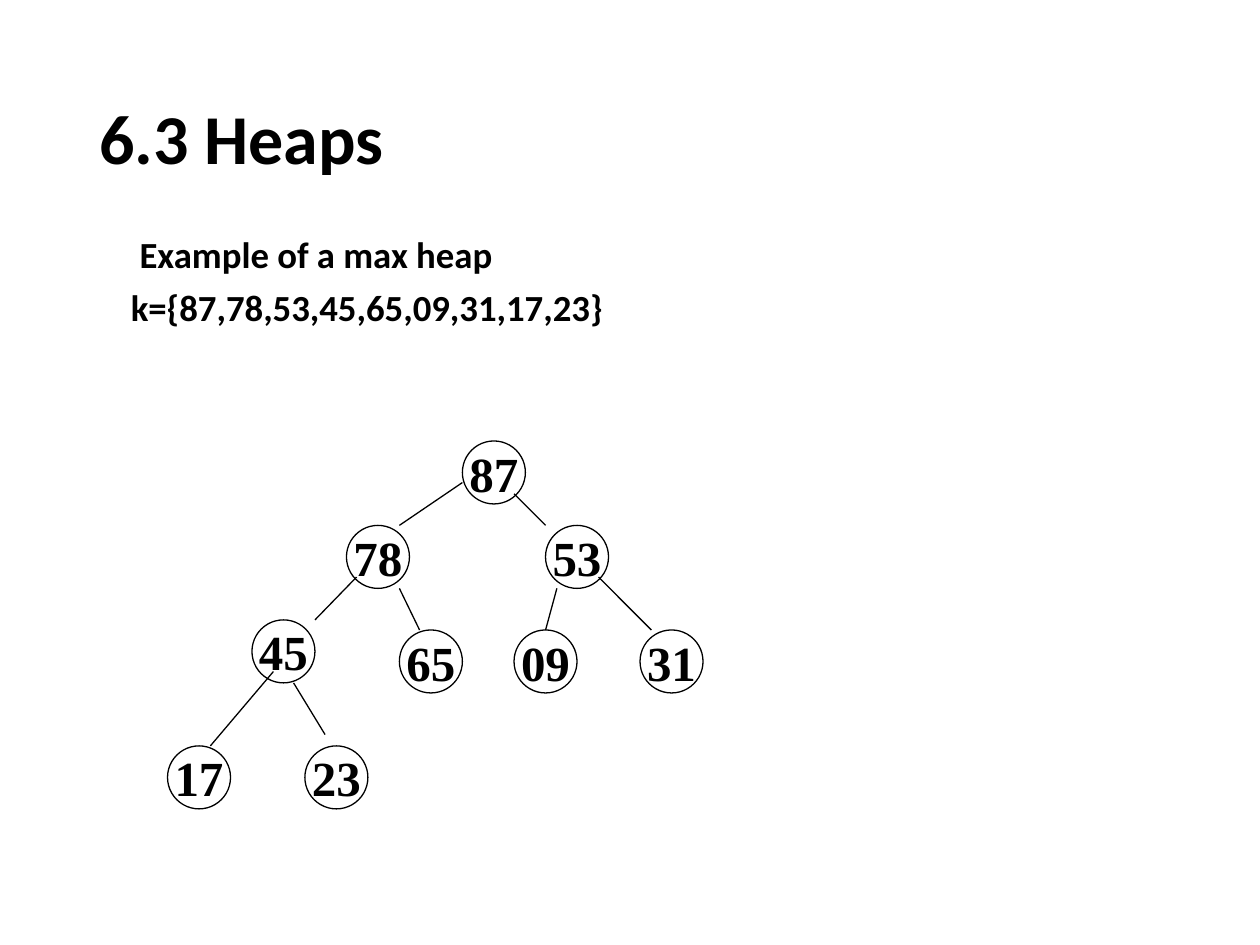
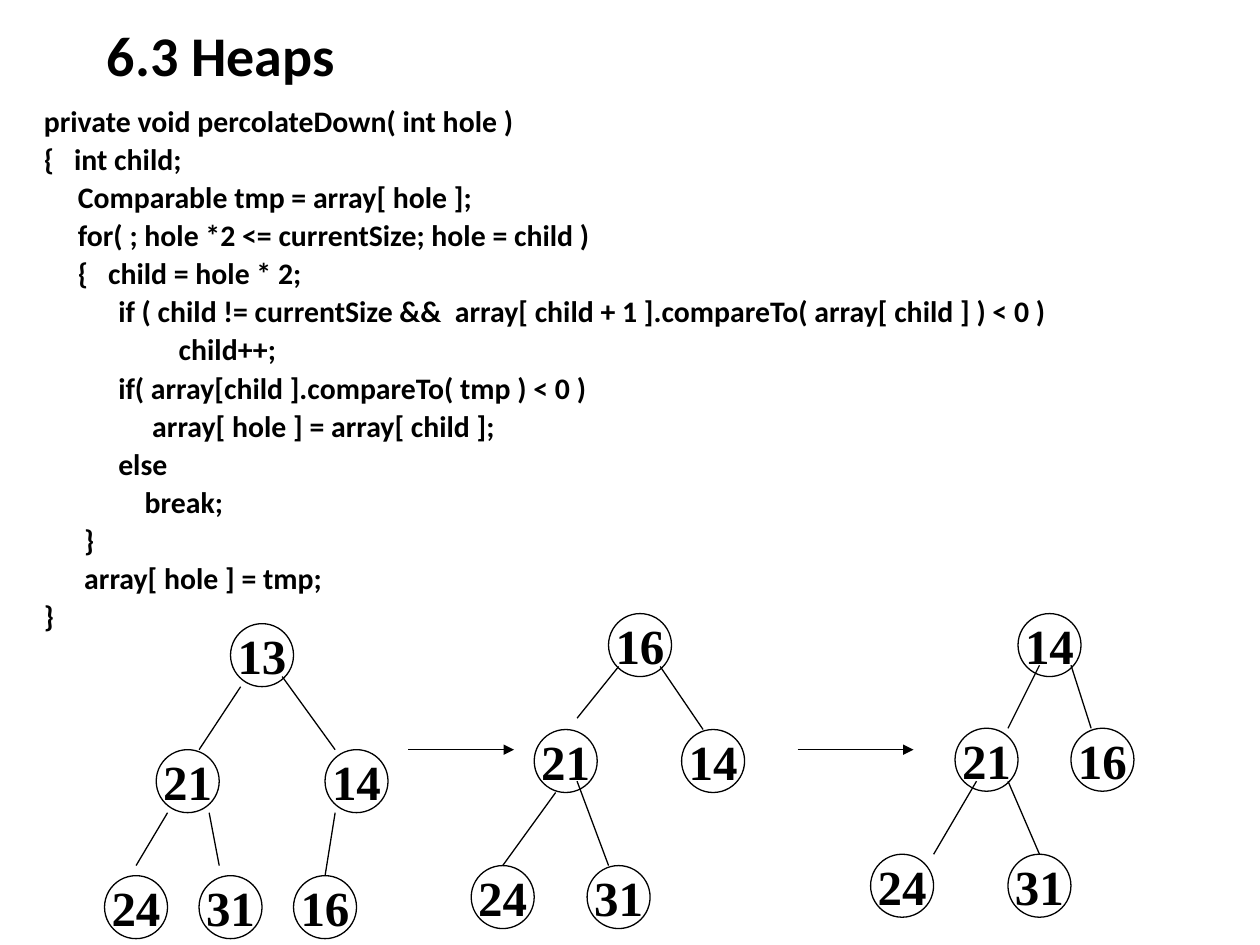
"""Two slides on heaps: a max heap, and percolating a hole down a min heap."""
from dataclasses import dataclass
from typing import Any, NamedTuple

from lxml import etree
from pptx import Presentation
from pptx.dml.color import RGBColor
from pptx.enum import shapes, text
from pptx.oxml.ns import qn
from pptx.util import Inches, Pt


@dataclass(frozen=True)
class Theme:
    """Colours, fonts, type sizes and stroke shared by the slides."""
    ink: RGBColor = RGBColor(0, 0, 0)
    text_font: str = "Calibri"
    node_font: str = "Times New Roman"
    node_size: float = 28
    body_size: float = 21
    code_size: float = 17
    stroke: float = 0.74
    node_diameter: float = 0.5


class Box(NamedTuple):
    """A rectangle in inches."""
    left: float
    top: float
    width: float
    height: float


class Line(NamedTuple):
    """A line of text, its indent, and where text after a tab starts."""
    indent: float
    words: str
    hang: float = 0


class Node(NamedTuple):
    """A key of the heap and the top left corner of its circle."""
    key: str
    left: float
    top: float


class Stroke(NamedTuple):
    """A straight stroke between two points, in inches."""
    x1: float
    y1: float
    x2: float
    y2: float


class Heap(NamedTuple):
    """A heap drawn as circles joined by edges."""
    nodes: list[Node]
    edges: list[Stroke]


THEME = Theme()
TITLE = "6.3 Heaps"

MAX_HEAP_LINES = [
    Line(0.26, "Example of a max heap"),
    Line(0.19, "k={87,78,53,45,65,09,31,17,23}"),
]

PERCOLATE_DOWN = [
    Line(0.05, "private void percolateDown( int hole )"),
    Line(0.05, "{\tint child;", 0.24),
    Line(0.32, "Comparable tmp = array[ hole ];"),
    Line(0.32, "for( ; hole *2 <= currentSize; hole = child )"),
    Line(0.32, "{\tchild = hole * 2;", 0.24),
    Line(0.64, "if ( child != currentSize &&  array[ child + 1 ]"
               ".compareTo( array[ child ] ) < 0 )"),
    Line(1.12, "child++;"),
    Line(0.64, "if( array[child ].compareTo( tmp ) < 0 )"),
    Line(0.91, "array[ hole ] = array[ child ];"),
    Line(0.64, "else"),
    Line(0.85, "break;"),
    Line(0.37, "}"),
    Line(0.37, "array[ hole ] = tmp;"),
    Line(0.05, "}"),
]

MAX_HEAP = Heap(
    [Node("87", 3.67, 3.5),
     Node("78", 2.75, 4.17), Node("53", 4.33, 4.17),
     Node("45", 2, 4.92), Node("65", 3.17, 5),
     Node("09", 4.08, 5), Node("31", 5.08, 5),
     Node("17", 1.33, 5.92), Node("23", 2.42, 5.92)],
    [Stroke(3.67, 3.83, 3.17, 4.17), Stroke(4.08, 3.92, 4.33, 4.17),
     Stroke(2.83, 4.58, 2.5, 4.92), Stroke(3.17, 4.67, 3.33, 5),
     Stroke(4.42, 4.67, 4.33, 5), Stroke(4.75, 4.58, 5.17, 5),
     Stroke(2.17, 5.33, 1.67, 5.92), Stroke(2.33, 5.42, 2.58, 5.83)])

PERCOLATE_STAGES = [
    Heap(
        [Node("13", 1.83, 4.95),
         Node("21", 1.24, 5.95), Node("14", 2.58, 5.95),
         Node("24", 0.83, 6.95), Node("31", 1.58, 6.95),
         Node("16", 2.33, 6.95)],
        [Stroke(1.91, 5.45, 1.58, 5.95), Stroke(2.24, 5.37, 2.66, 5.95),
         Stroke(1.33, 6.45, 1.08, 6.87), Stroke(1.66, 6.45, 1.74, 6.87),
         Stroke(2.66, 6.45, 2.58, 6.95)]),
    Heap(
        [Node("16", 4.83, 4.87),
         Node("21", 4.24, 5.79), Node("14", 5.41, 5.79),
         Node("24", 3.74, 6.87), Node("31", 4.66, 6.87)],
        [Stroke(4.91, 5.29, 4.58, 5.7), Stroke(5.24, 5.29, 5.58, 5.79),
         Stroke(4.41, 6.29, 3.99, 6.87), Stroke(4.58, 6.2, 4.83, 6.87)]),
    Heap(
        [Node("14", 8.08, 4.87),
         Node("21", 7.58, 5.78), Node("16", 8.5, 5.78),
         Node("24", 6.91, 6.78), Node("31", 8, 6.78)],
        [Stroke(8.25, 5.28, 8, 5.78), Stroke(8.5, 5.28, 8.66, 5.78),
         Stroke(7.75, 6.2, 7.41, 6.78), Stroke(8, 6.2, 8.25, 6.78)]),
]
STAGE_ARROWS = [Stroke(3.24, 5.95, 4.08, 5.95), Stroke(6.33, 5.95, 7.25, 5.95)]


def assign(target: Any, values: dict[str, Any]) -> None:
    """Set each named attribute of the target."""
    for name, value in values.items():
        setattr(target, name, value)


def write(paragraph: Any, words: str, font: str, size: float) -> None:
    """Write bold ink-coloured words into a paragraph."""
    run = paragraph.add_run()
    run.text = words
    assign(run.font, {"name": font, "size": Pt(size), "bold": True})
    run.font.color.rgb = THEME.ink


def add_lines(slide: Any, box: Box, lines: list[Line], size: float,
              spacing: float = 0.9, before: float = 7.5,
              anchor: Any = text.MSO_ANCHOR.TOP) -> None:
    """Add a text box with one paragraph per line."""
    frame = slide.shapes.add_textbox(*map(Inches, box)).text_frame
    assign(frame, {"word_wrap": True, "vertical_anchor": anchor})
    for index, line in enumerate(lines):
        paragraph = frame.add_paragraph() if index else frame.paragraphs[0]
        assign(paragraph, {"line_spacing": spacing, "space_before": Pt(before)})
        properties = paragraph._p.get_or_add_pPr()
        properties.set("marL", str(Inches(line.indent + line.hang)))
        properties.set("indent", str(-Inches(line.hang)))
        write(paragraph, line.words, THEME.text_font, size)


def add_title(slide: Any, box: Box, size: float) -> None:
    """Add the heading, centred vertically in its box."""
    add_lines(slide, box, [Line(0, TITLE)], size, before=0,
              anchor=text.MSO_ANCHOR.MIDDLE)


def ink_line(line: Any) -> None:
    """Give a line the shared colour and weight."""
    line.color.rgb = THEME.ink
    line.width = Pt(THEME.stroke)


def add_stroke(slide: Any, stroke: Stroke, arrow: bool = False) -> None:
    """Draw a straight stroke, with an arrowhead at its end if asked."""
    connector = slide.shapes.add_connector(
        shapes.MSO_CONNECTOR.STRAIGHT, *map(Inches, stroke))
    ink_line(connector.line)
    properties = connector._element.spPr
    if arrow:
        etree.SubElement(properties.find(qn("a:ln")), qn("a:tailEnd"),
                         type="triangle")
    etree.SubElement(properties, qn("a:effectLst"))


def add_node(slide: Any, node: Node) -> None:
    """Draw a circle with its key in the middle."""
    box = Box(node.left, node.top, THEME.node_diameter, THEME.node_diameter)
    circle = slide.shapes.add_shape(
        shapes.MSO_SHAPE.OVAL, *map(Inches, box))
    circle.shadow.inherit = False
    circle.fill.background()
    ink_line(circle.line)
    assign(circle.text_frame, {"word_wrap": False,
                               "vertical_anchor": text.MSO_ANCHOR.MIDDLE})
    paragraph = circle.text_frame.paragraphs[0]
    assign(paragraph, {"alignment": text.PP_ALIGN.CENTER,
                       "space_before": Pt(7)})
    write(paragraph, node.key, THEME.node_font, THEME.node_size)


def add_heap(slide: Any, heap: Heap) -> None:
    """Draw the nodes of a heap, then its edges."""
    for node in heap.nodes:
        add_node(slide, node)
    for edge in heap.edges:
        add_stroke(slide, edge)


def build_max_heap(slide: Any) -> None:
    """Build the slide with the max heap example."""
    add_title(slide, Box(0.69, 0.4, 8.63, 1.45), 40)
    add_lines(slide, Box(0.75, 1.83, 8.5, 4.75), MAX_HEAP_LINES,
              THEME.body_size)
    add_heap(slide, MAX_HEAP)


def build_percolate_down(slide: Any) -> None:
    """Build the slide with the code and the stages of percolating down."""
    add_title(slide, Box(0.75, 0.13, 8.5, 0.67), 32)
    add_lines(slide, Box(0.2, 0.84, 9.61, 4.41), PERCOLATE_DOWN,
              THEME.code_size, spacing=0.7)
    for stage in PERCOLATE_STAGES:
        add_heap(slide, stage)
    for arrow in STAGE_ARROWS:
        add_stroke(slide, arrow, arrow=True)


def main() -> None:
    """Build both slides and save the deck."""
    deck = Presentation()
    assign(deck, {"slide_width": Inches(10), "slide_height": Inches(7.5)})
    for build in (build_max_heap, build_percolate_down):
        build(deck.slides.add_slide(deck.slide_layouts[6]))
    deck.save("out.pptx")


main()
